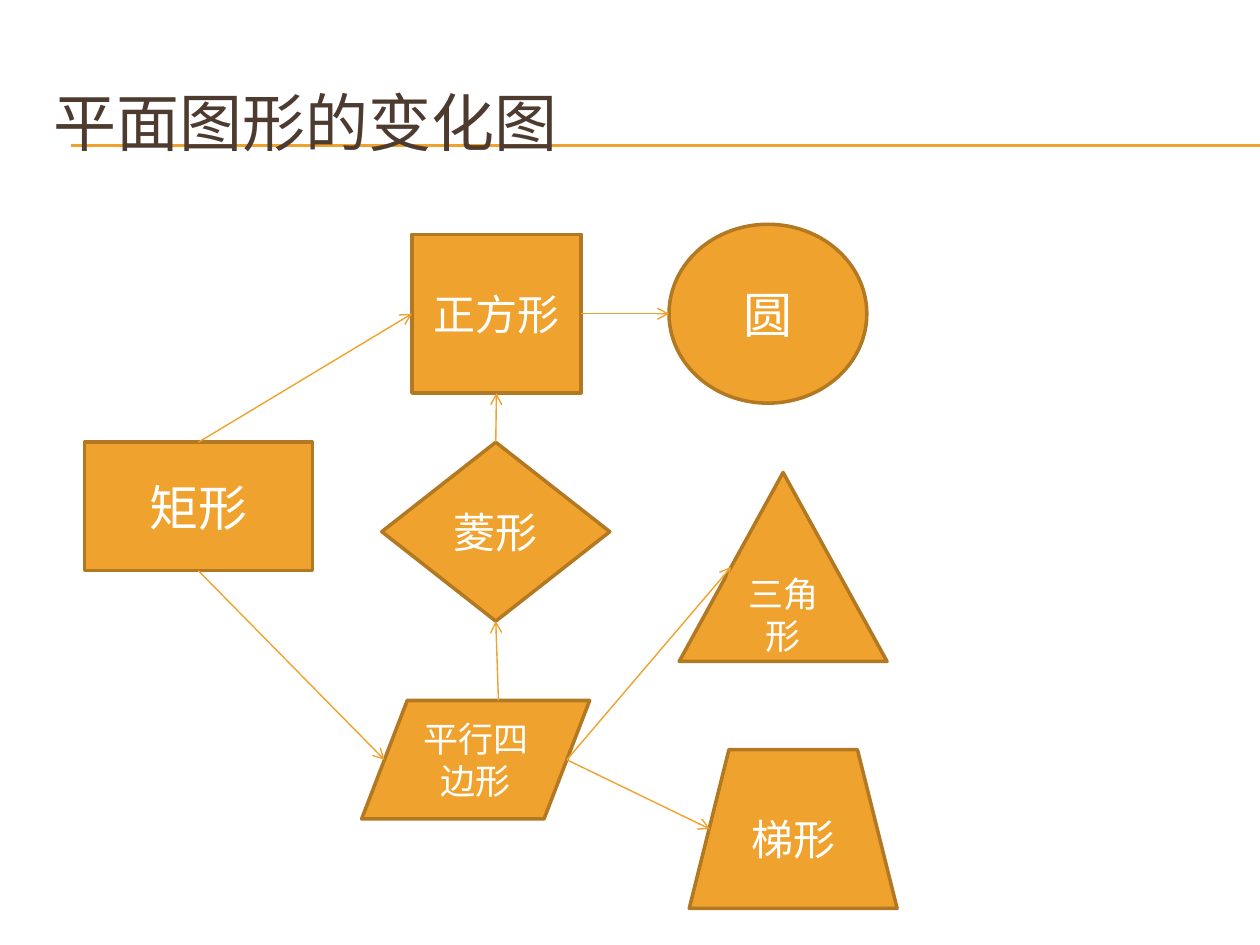
from dataclasses import dataclass

from lxml.etree import SubElement
from pptx import Presentation
from pptx.dml.color import RGBColor as Rgb
from pptx.enum.shapes import MSO_CONNECTOR as Link, MSO_SHAPE as Kind
from pptx.enum.text import MSO_ANCHOR as Anchor, PP_ALIGN as Align
from pptx.oxml.ns import qn
from pptx.util import Pt

PX = 9144  # 100 px to the inch


@dataclass(frozen=True)
class Theme:
    font: str = "Lato"
    gold: str = "F0A22E"
    edge: str = "B27822"
    brown: str = "4E3B30"
    white: str = "FFFFFF"
    title: int = 36
    large: int = 28
    mid: int = 24
    small: int = 20
    border: float = 2
    rule: float = 0.75
    arrow: float = 0.79


T = Theme()

TITLE = "平面图形的变化图"
TITLE_BOX = (33, 50, 950, 92)
RULES = [115, 116]

# name: preset, box, text size
SHAPES = {
    "矩形": (Kind.RECTANGLE, (67, 351, 181, 102), T.large),
    "正方形": (Kind.RECTANGLE, (327, 186, 134, 126), T.mid),
    "平行四边形": (Kind.FLOWCHART_DATA, (287, 556, 181, 94), T.small),
    "圆": (Kind.OVAL, (531, 178, 157, 142), T.large),
    "菱形": (Kind.DIAMOND, (303, 351, 181, 142), T.mid),
    "三角形": (Kind.ISOSCELES_TRIANGLE, (539, 375, 165, 150), T.small),
    "梯形": (Kind.TRAPEZOID, (547, 595, 165, 126), T.mid),
}

# places on a shape, as shares of its width and height
PORTS = {"top": (0.5, 0), "left": (0, 0.5), "bottom": (0.5, 1), "right": (1, 0.5)}
SLANTED = {
    ("平行四边形", "top"): (0.6, 0),
    ("平行四边形", "left"): (0.1, 0.5),
    ("平行四边形", "right"): (0.9, 0.5),
    ("三角形", "left"): (0.25, 0.5),
    ("梯形", "left"): (0.1, 0.5),
}

ARROWS = [
    (("矩形", "top"), ("正方形", "left")),
    (("矩形", "bottom"), ("平行四边形", "left")),
    (("正方形", "right"), ("圆", "left")),
    (("菱形", "top"), ("正方形", "bottom")),
    (("平行四边形", "top"), ("菱形", "bottom")),
    (("平行四边形", "right"), ("三角形", "left")),
    (("平行四边形", "right"), ("梯形", "left")),
]


def emu(nums):
    return [round(n * PX) for n in nums]


def write(shape, text, size, color, align):
    frame = shape.text_frame
    frame.word_wrap = True
    frame.vertical_anchor = Anchor.MIDDLE
    para = frame.paragraphs[0]
    para.text = text
    para.alignment = align
    para.font.name = T.font
    para.font.size = Pt(size)
    para.font.color.rgb = Rgb.from_string(color)


def draw_line(slide, start, end, width):
    line = slide.shapes.add_connector(Link.STRAIGHT, *emu(start + end))
    line.line.color.rgb = Rgb.from_string(T.gold)
    line.line.width = Pt(width)
    SubElement(line._element.spPr, qn("a:effectLst"))
    return line


def draw_arrow(slide, start, end):
    line = draw_line(slide, start, end, T.arrow)
    SubElement(line.line._get_or_add_ln(), qn("a:tailEnd"), type="arrow")


def draw_shape(slide, name, kind, box, size):
    shape = slide.shapes.add_shape(kind, *emu(box))
    shape.shadow.inherit = False
    shape.fill.solid()
    shape.fill.fore_color.rgb = Rgb.from_string(T.gold)
    shape.line.color.rgb = Rgb.from_string(T.edge)
    shape.line.width = Pt(T.border)
    write(shape, name, size, T.white, Align.CENTER)


def find(end):
    """Return the point of a (shape name, port) pair."""
    name, port = end
    x, y, w, h = SHAPES[name][1]
    across, down = SLANTED.get(end, PORTS[port])
    return x + across * w, y + down * h


def main():
    deck = Presentation()
    deck.slide_width, deck.slide_height = emu((1000, 750))
    slide = deck.slides.add_slide(deck.slide_layouts[6])
    for y in RULES:
        draw_line(slide, (56, y), (1000, y), T.rule)
    title = slide.shapes.add_textbox(*emu(TITLE_BOX))
    write(title, TITLE, T.title, T.brown, Align.LEFT)
    for name, (kind, box, size) in SHAPES.items():
        draw_shape(slide, name, kind, box, size)
    for start, end in ARROWS:
        draw_arrow(slide, find(start), find(end))
    deck.save("out.pptx")


if __name__ == "__main__":
    main()
